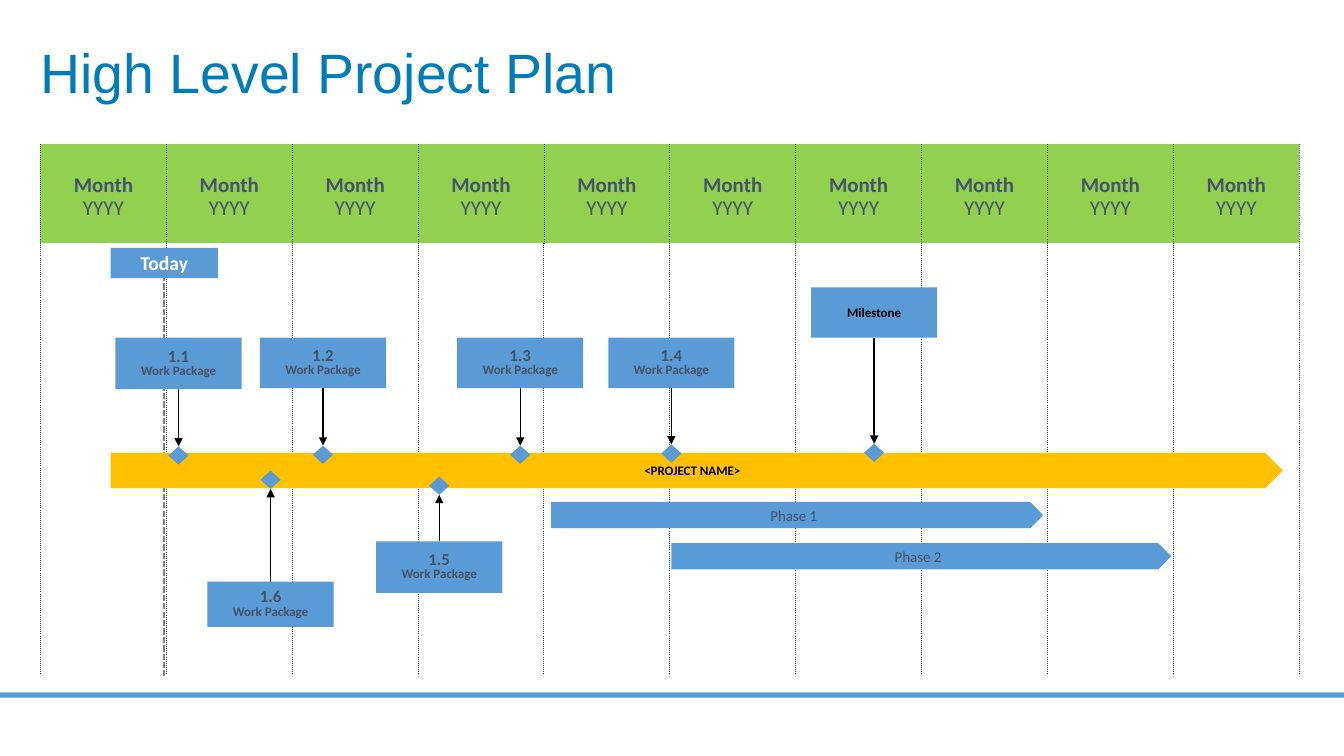
import pptx
import pptx.util
import pptx.dml.color
import pptx.enum.dml
import pptx.enum.shapes
import pptx.enum.text
import pptx.oxml
import pptx.oxml.ns

Cm, Pt = pptx.util.Cm, pptx.util.Pt
KIND = pptx.enum.shapes.MSO_SHAPE
DASH = pptx.enum.dml.MSO_LINE

HUES = {"title": "007DB8", "month": "92D050", "blue": "5B9BD5", "gold": "FFC000",
        "slate": "44546A", "grid": "2C3745", "gray": "808080",
        "black": "000000", "white": "FFFFFF"}

TITLE = "High Level Project Plan"
MONTHS = ["Month\nYYYY"] * 10
# text, left, top, width, height, fill, size, colour, bold
BARS = [
    ("<PROJECT NAME>", 2.79, 11.41, 29.54, 0.89, "gold", 9.3, "black", True),
    ("Phase 1", 13.89, 12.65, 12.4, 0.66, "blue", 10.7, "slate", False),
    ("Phase 2", 16.92, 13.69, 12.6, 0.66, "blue", 10.7, "slate", False),
]
# text, centre, top of box, height of box, middle of diamond
MARKS = [
    ("1.1\nWork Package", 4.5, 8.51, 1.3, 11.48),
    ("1.2\nWork Package", 8.14, 8.51, 1.27, 11.46),
    ("1.3\nWork Package", 13.11, 8.51, 1.27, 11.46),
    ("1.4\nWork Package", 16.92, 8.51, 1.27, 11.43),
    ("1.5\nWork Package", 11.07, 13.64, 1.3, 12.24),
    ("1.6\nWork Package", 6.82, 14.66, 1.14, 12.09),
    ("Milestone", 22.03, 7.24, 1.27, 11.41),
]
BOX = 3.18
GEM = (0.51, 0.46)
COL, ROWS = 3.172, (2.49, 10.85)
WIDE = 33.87


def rgb(hue):
    """Return the named colour."""
    return pptx.dml.color.RGBColor.from_string(HUES[hue])


def style(frame, sizes, hue, bolds, gap=1.0, font="Calibri", align="CENTER"):
    """Format each paragraph, with one size and weight for each."""
    for para, size, bold in zip(frame.paragraphs, sizes, bolds):
        para.alignment = getattr(pptx.enum.text.PP_ALIGN, align)
        para.line_spacing = gap
        for run in para.runs:
            run.font.name, run.font.size, run.font.bold = font, Pt(size), bold
            run.font.color.rgb = rgb(hue)


def shape(kind, left, top, wide, high, fill):
    """Add a flat shape without an outline."""
    item = slide.shapes.add_shape(kind, Cm(left), Cm(top), Cm(wide), Cm(high))
    item.shadow.inherit = False
    item.fill.solid()
    item.fill.fore_color.rgb = rgb(fill)
    item.line.fill.background()
    return item


def label(item, text, sizes, hue, bolds, gap=1.0):
    """Write centred text in a shape."""
    frame = item.text_frame
    frame.text = text
    frame.word_wrap = True
    frame.vertical_anchor = pptx.enum.text.MSO_ANCHOR.MIDDLE
    style(frame, sizes, hue, bolds, gap)


def line(x, start, end, hue, width):
    """Add an upright line."""
    item = slide.shapes.add_connector(
        pptx.enum.shapes.MSO_CONNECTOR.STRAIGHT, Cm(x), Cm(start), Cm(x), Cm(end))
    item.line.color.rgb = rgb(hue)
    item.line.width = Pt(width)
    pptx.oxml.ns.qn("a:effectLst")
    item.element.spPr.append(
        pptx.oxml.parse_xml("<a:effectLst %s/>" % pptx.oxml.ns.nsdecls("a")))
    return item


def edge(cell, hue, width):
    """Dot the sides of a cell and clear its top and bottom."""
    dots = ('<a:solidFill><a:srgbClr val="%s"/></a:solidFill>'
            '<a:prstDash val="sysDot"/>' % HUES[hue])
    props = cell._tc.get_or_add_tcPr()
    for side in "LRTB":
        body = dots if side in "LR" else "<a:noFill/>"
        props.append(pptx.oxml.parse_xml('<a:ln%s %s w="%d">%s</a:ln%s>' % (
            side, pptx.oxml.ns.nsdecls("a"), Pt(width), body, side)))


def calendar():
    """Add the months with a dotted column below each."""
    table = slide.shapes.add_table(2, len(MONTHS), Cm(1.02), Cm(3.63),
                                   Cm(COL * len(MONTHS)), Cm(sum(ROWS))).table
    table.first_row = table.horz_banding = False
    for row, high in zip(table.rows, ROWS):
        row.height = Cm(high)
    for i, month in enumerate(MONTHS):
        table.columns[i].width = Cm(COL)
        head, body = table.cell(0, i), table.cell(1, i)
        edge(head, "slate", 0.5)
        edge(body, "grid", 0.75)
        head.fill.solid()
        head.fill.fore_color.rgb = rgb("month")
        body.fill.background()
        head.margin_left = head.margin_right = Cm(0.33)
        head.margin_top, head.margin_bottom = Cm(0.76), Cm(0.18)
        head.text_frame.text = month
        style(head.text_frame, (15, 15), "slate", (True, False), 0.9)


def mark(text, mid, top, high, gem):
    """Add a labelled box, its diamond and the arrow between them."""
    wide, tall = GEM
    shape(KIND.DIAMOND, mid - wide / 2, gem - tall / 2, wide, tall, "blue")
    box = shape(KIND.RECTANGLE, mid - BOX / 2, top, BOX, high, "blue")
    if "\n" in text:
        label(box, text, (12, 9.3), "slate", (True, True), 0.8)
    else:
        label(box, text, (9.3,), "black", (True,))
    above = top < gem
    start = top + high if above else top
    end = gem - tall / 2 if above else gem + tall / 2
    arrow = line(mid, start, end, "black", 1)
    arrow.line._get_or_add_ln().append(pptx.oxml.parse_xml(
        '<a:tailEnd %s type="triangle"/>' % pptx.oxml.ns.nsdecls("a")))


deck = pptx.Presentation()
deck.slide_width, deck.slide_height = Cm(WIDE), Cm(19.05)
slide = deck.slides.add_slide(deck.slide_layouts[6])

frame = slide.shapes.add_textbox(Cm(1.02), Cm(1.02), Cm(29.46), Cm(1.75)).text_frame
frame.text = TITLE
frame.word_wrap = True
frame.margin_left = frame.margin_right = 0
frame.vertical_anchor = pptx.enum.text.MSO_ANCHOR.MIDDLE
style(frame, (39.6,), "title", (False,), 0.9, "Arial", "LEFT")

calendar()
line(4.14, 6.93, 17.04, "gray", 1.5).line.dash_style = DASH.SQUARE_DOT
today = shape(KIND.RECTANGLE, 2.79, 6.25, 2.7, 0.76, "blue")
label(today, "Today", (14,), "white", (True,))
for text, left, top, wide, high, fill, size, hue, bold in BARS:
    bar = shape(KIND.PENTAGON, left, top, wide, high, fill)
    label(bar, text, (size,), hue, (bold,))
for item in MARKS:
    mark(*item)
shape(KIND.RECTANGLE, 0, 17.45, WIDE, 0.13, "blue")

deck.save("out.pptx")
